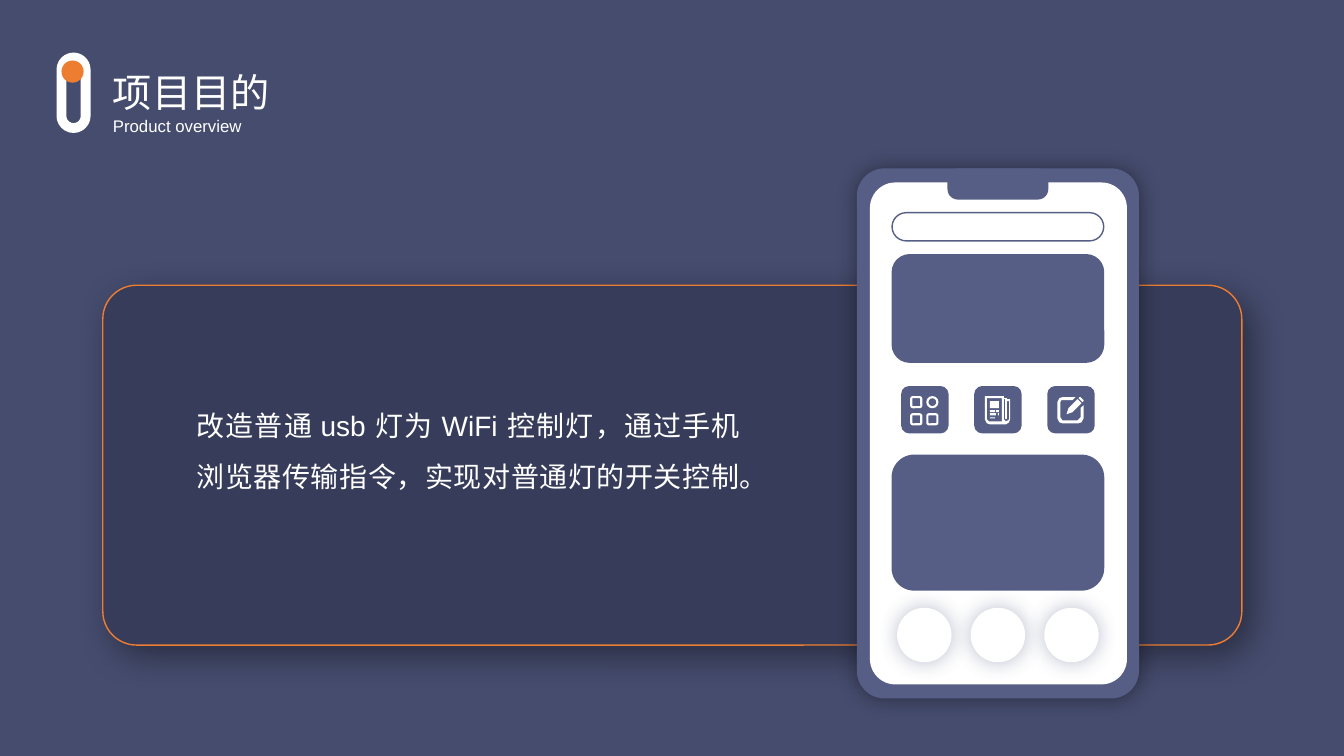
"""Build the project purpose slide with a text panel and a phone mock-up."""
from lxml import etree
from pptx import Presentation, util as u
from pptx.dml import color
from pptx.enum import shapes, text
from pptx.oxml import ns

COLORS = {
    "back": "464C6E",
    "panel": "373C5A",
    "phone": "565E86",
    "accent": "ED7D31",
    "white": "FFFFFF",
    "black": "000000",
}
CELL = u.Inches(0.1)
ROUND = shapes.MSO_SHAPE.ROUNDED_RECTANGLE
TILE = shapes.MSO_SHAPE.FLOWCHART_ALTERNATE_PROCESS
OVAL = shapes.MSO_SHAPE.OVAL


def rect(x1, y1, x2, y2):
    return [(x1, y1), (x2, y1), (x2, y2), (x1, y2)]


NEWS = [
    [(11, 10), (30, 10), (30, 12), (33, 12), (33, 13), (36, 13), (36, 33),
     (35, 36), (32, 38), (16, 38), (13, 37), (11, 33)],
    [(28, 12), (13, 12), (13, 33), (15, 35), (28, 35)],
    [(35, 15), (33, 15), (33, 32), (32, 33), (31, 32), (31, 13), (30, 13),
     (30, 33), (32, 35), (34, 34), (35, 33)],
    rect(16, 15, 25, 22),
    rect(16, 24, 21, 26),
    rect(22, 24, 25, 26),
    rect(16, 27, 22, 29),
    rect(24, 27, 25, 29),
    rect(16, 31, 21, 32),
]
PENCIL = [
    [(36, 15), (35, 16), (31, 12), (32, 11), (33, 11), (36, 14)],
    [(25, 26), (21, 22), (30, 13), (34, 17)],
    [(25, 26), (19, 28), (21, 22)],
    [(15, 14), (14, 14), (13, 16), (13, 31), (15, 34), (30, 34), (33, 31),
     (33, 22), (36, 19), (36, 32), (34, 36), (31, 37), (15, 37), (12, 36),
     (10, 32), (10, 16), (12, 12), (15, 11), (28, 11), (25, 14)],
]


class Deck:
    """Holds the style and the current slide; lengths are grid cells."""

    def __init__(self, cols, rows, font):
        self.prs = Presentation()
        self.prs.slide_width = self.cells(cols)
        self.prs.slide_height = self.cells(rows)
        self.font = font
        self.s = self.prs.slides.add_slide(self.prs.slide_layouts[1])
        self.paint(self.s.background.fill, "back")

    def cells(self, n):
        return u.Emu(round(n * CELL))

    def rgb(self, name):
        return color.RGBColor.from_string(COLORS[name])

    def paint(self, fill, name):
        if name:
            fill.solid()
            fill.fore_color.rgb = self.rgb(name)
        else:
            fill.background()

    def style(self, sp, fill=None, line=None, width=1):
        sp.shadow.inherit = False
        self.paint(sp.fill, fill)
        self.paint(sp.line.fill, line)
        if line:
            sp.line.width = u.Pt(width)

    def shape(self, kind, x, y, w, h, adj=None, turn=0, **look):
        sp = self.s.shapes.add_shape(kind, *map(self.cells, (x, y, w, h)))
        sp.rotation = turn
        if adj is not None:
            sp.adjustments[0] = adj
        self.style(sp, **look)
        return sp

    def icon(self, x, y, contours):
        first, *rest = contours
        fb = self.s.shapes.build_freeform(*first[0], scale=CELL / 10)
        fb.add_line_segments(first[1:], close=True)
        for points in rest:
            fb.move_to(*points[0])
            fb.add_line_segments(points[1:], close=True)
        sp = fb.convert_to_shape(self.cells(x), self.cells(y))
        self.style(sp, fill="white")

    def shadow(self, sp, name, blur, dist=0, angle=0):
        effects = sp._element.spPr.find(ns.qn("a:effectLst"))
        shade = etree.SubElement(
            effects, ns.qn("a:outerShdw"), blurRad=str(u.Pt(blur)),
            dist=str(u.Pt(dist)), dir=str(angle * 60000), rotWithShape="0")
        clr = etree.SubElement(shade, ns.qn("a:srgbClr"), val=COLORS[name])
        etree.SubElement(clr, ns.qn("a:alpha"), val="40000")

    def frame(self, sp, x, y, w, h):
        sp.left, sp.top, sp.width, sp.height = map(self.cells, (x, y, w, h))
        tf = sp.text_frame
        tf.word_wrap = True
        tf.auto_size = text.MSO_AUTO_SIZE.NONE
        tf.vertical_anchor = text.MSO_ANCHOR.TOP
        return tf

    def put_text(self, p, words, size, spacing=1.0):
        pPr = p._p.get_or_add_pPr()
        pPr.set("marL", "0")
        pPr.set("indent", "0")
        etree.SubElement(pPr, ns.qn("a:buNone"))
        p.alignment = text.PP_ALIGN.JUSTIFY
        p.line_spacing = spacing
        p.space_before = u.Pt(0)
        r = p.add_run()
        r.text = words
        r.font.name = self.font
        r.font.size = u.Pt(size)
        r.font.color.rgb = self.rgb("white")


def main():
    d = Deck(133.33, 75, "Arial")
    title, body = d.s.placeholders

    panel = d.shape(ROUND, 10.2, 28.3, 113, 35.7, adj=0.094,
                    fill="panel", line="accent")
    d.shadow(panel, "black", 25, dist=10, angle=45)
    d.s.shapes._spTree.insert(2, panel._element)

    d.shape(ROUND, 3.8, 8, 7, 2.4, adj=0.5, turn=270, line="white", width=7)
    d.shape(OVAL, 6.1, 6, 2.2, 2.2, fill="accent")

    tf = d.frame(title, 10.2, 6.3, 23.3, 7.7)
    d.put_text(tf.paragraphs[0], "项目目的", 28)
    d.put_text(tf.add_paragraph(), "Product overview", 12)
    tf = d.frame(body, 18.5, 38.4, 55.9, 11.7)
    d.put_text(tf.paragraphs[0],
               "改造普通 usb 灯为 WiFi 控制灯，通过手机浏览器传输指令，"
               "实现对普通灯的开关控制。", 20, spacing=1.5)

    case = d.shape(ROUND, 85, 16.7, 28, 52.6, adj=0.099, fill="phone")
    d.shadow(case, "black", 15)
    d.shape(ROUND, 86.3, 18.1, 25.5, 49.8, adj=0.099, fill="white")
    d.shape(ROUND, 94, 16.7, 10, 3.1, adj=0.331, fill="phone")
    d.shape(ROUND, 88.5, 21.1, 21, 2.8, adj=0.5, line="phone")
    for y, h in ((25.2, 10.8), (45.1, 13.5)):
        d.shape(ROUND, 88.45, y, 21.1, h, fill="phone")

    for i in range(3):
        d.shape(TILE, 89.4 + 7.25 * i, 38.3, 4.7, 4.7, fill="phone")
        dot = d.shape(OVAL, 89 + 7.3 * i, 60.3, 5.4, 5.4, fill="white")
        d.shadow(dot, "phone", 15)
    for i in range(4):
        col, row = i % 2, i // 2
        d.shape(OVAL if i == 1 else TILE, 90.4 + 1.6 * col, 39.4 + 1.7 * row,
                1, 1, line="white", width=1.5)
    d.icon(96.6, 38.3, NEWS)
    d.icon(103.9, 38.3, PENCIL)

    d.prs.save("out.pptx")


if __name__ == "__main__":
    main()
